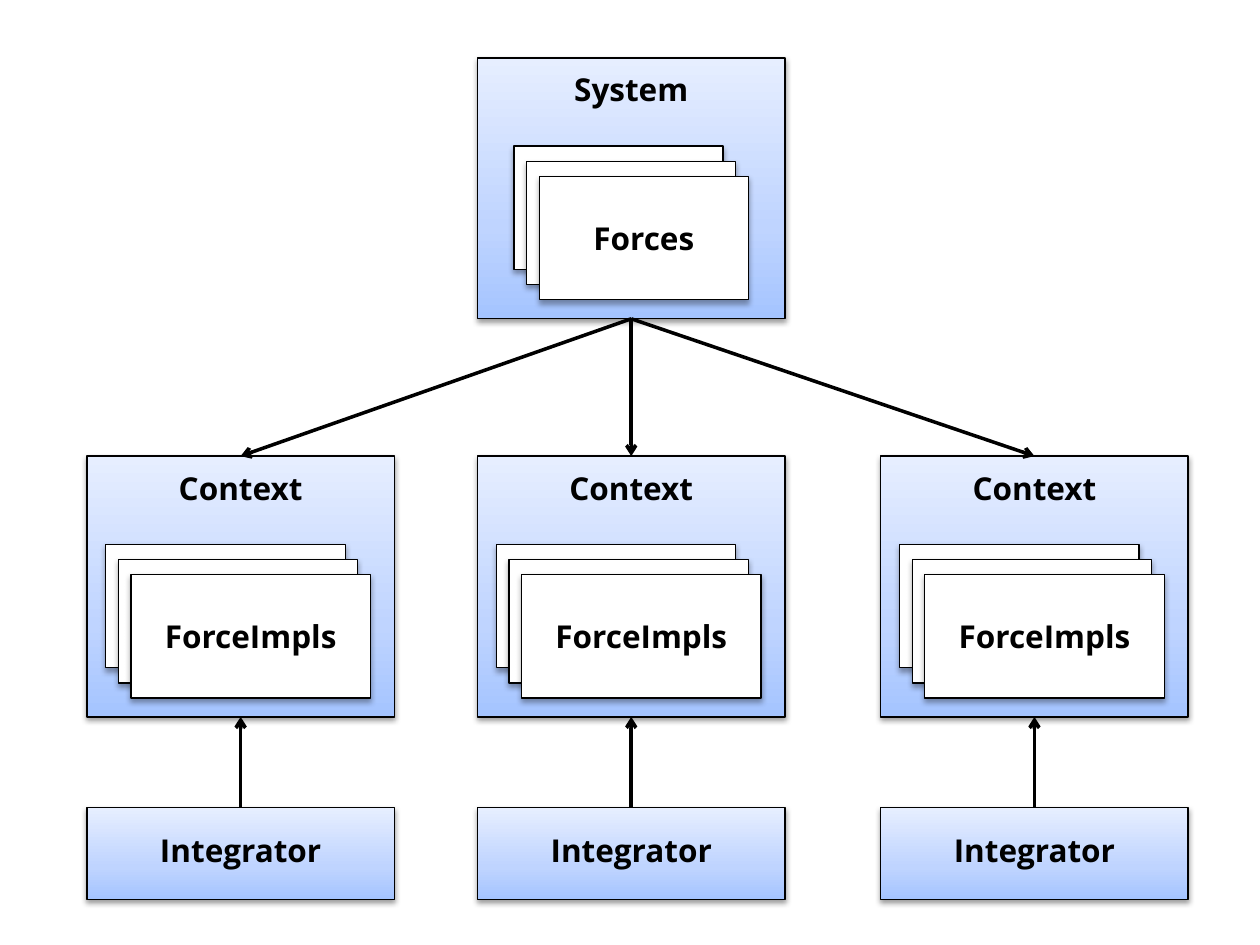
import copy

import lxml.etree
import pptx
import pptx.dml.color
import pptx.enum.shapes
import pptx.enum.text
import pptx.oxml.ns
import pptx.util

Inches, Pt = pptx.util.Inches, pptx.util.Pt
BLACK = pptx.dml.color.RGBColor(0x00, 0x00, 0x00)
WHITE = pptx.dml.color.RGBColor(0xFF, 0xFF, 0xFF)
BLUES = [
    (0, pptx.dml.color.RGBColor(0xA4, 0xC4, 0xFF)),
    (0.35, pptx.dml.color.RGBColor(0xBF, 0xD4, 0xFF)),
    (1, pptx.dml.color.RGBColor(0xE6, 0xEE, 0xFF)),
]
COLUMNS = [0.69, 3.79, 6.99]
BOX_WIDTH, BOX_HEIGHT = 2.44, 2.07
SYSTEM_TOP, CONTEXT_TOP, INTEGRATOR_TOP = 0.46, 3.62, 6.41
INTEGRATOR_HEIGHT = 0.73
CARD_HEIGHT, CARD_RISE = 0.98, 0.70
STEP_X, STEP_Y = 0.10, 0.12
LABEL_HEIGHT = 0.4
TOP_SITE, BOTTOM_SITE = 0, 2

prs = pptx.Presentation()
prs.slide_width, prs.slide_height = Inches(10), Inches(7.5)
slide = prs.slides.add_slide(prs.slide_layouts[6])


def add_box(left, top, width, height, gradient):
    """Add an outlined rectangle with a soft shadow, blue gradient or white."""
    box = slide.shapes.add_shape(
        pptx.enum.shapes.MSO_SHAPE.RECTANGLE,
        Inches(left), Inches(top), Inches(width), Inches(height))
    if gradient:
        box.fill.gradient()
        box.fill.gradient_angle = 90
        stops = box._element.xpath(".//a:gsLst")[0]
        stops.insert(1, copy.deepcopy(stops[0]))
        for stop, (position, color) in zip(box.fill.gradient_stops, BLUES):
            stop.position = position
            stop.color.rgb = color
    else:
        box.fill.solid()
        box.fill.fore_color.rgb = WHITE
    box.line.color.rgb = BLACK
    box.line.width = Pt(0.75)
    box.shadow.inherit = False
    distance, alpha = (20000, 38000) if gradient else (23000, 35000)
    box._element.xpath(".//a:effectLst")[0].append(lxml.etree.fromstring(
        f'<a:outerShdw {pptx.oxml.ns.nsdecls("a")} blurRad="40000" '
        f'dist="{distance}" dir="5400000" rotWithShape="0">'
        f'<a:srgbClr val="000000"><a:alpha val="{alpha}"/></a:srgbClr>'
        '</a:outerShdw>'))
    return box


def write_label(shape, text):
    """Put bold, centred black text into a shape."""
    shape.text_frame.text = text
    paragraph = shape.text_frame.paragraphs[0]
    paragraph.alignment = pptx.enum.text.PP_ALIGN.CENTER
    font = paragraph.runs[0].font
    font.name, font.size, font.bold = "Open Sans", Pt(18), True
    font.color.rgb = BLACK


# Each block: left, top, height, heading, heading offset, card text, card width, card inset
blocks = [(COLUMNS[1], SYSTEM_TOP, BOX_HEIGHT, "System", 0.05, "Forces", 1.66, 0.29)]
for left in COLUMNS:
    blocks.append((left, CONTEXT_TOP, BOX_HEIGHT, "Context", 0.05, "ForceImpls", 1.9, 0.15))
    blocks.append((left, INTEGRATOR_TOP, INTEGRATOR_HEIGHT, "Integrator", 0.14, None, 0, 0))

boxes = []
for left, top, height, heading, offset, card_text, card_width, inset in blocks:
    boxes.append(add_box(left, top, BOX_WIDTH, height, gradient=True))
    label = slide.shapes.add_textbox(
        Inches(left), Inches(top + offset), Inches(BOX_WIDTH), Inches(LABEL_HEIGHT))
    label.text_frame.word_wrap = True
    write_label(label, heading)
    label.text_frame.auto_size = pptx.enum.text.MSO_AUTO_SIZE.SHAPE_TO_FIT_TEXT
    if card_text:
        for level in range(3):
            card = add_box(left + inset + level * STEP_X, top + CARD_RISE + level * STEP_Y,
                           card_width, CARD_HEIGHT, gradient=False)
        card.text_frame.vertical_anchor = pptx.enum.text.MSO_ANCHOR.MIDDLE
        write_label(card, card_text)

system, contexts, integrators = boxes[0], boxes[1::2], boxes[2::2]
links = [(system, BOTTOM_SITE, context, TOP_SITE) for context in contexts]
links += [(integrator, TOP_SITE, context, BOTTOM_SITE)
          for integrator, context in zip(integrators, contexts)]
for source, source_site, target, target_site in links:
    arrow = slide.shapes.add_connector(pptx.enum.shapes.MSO_CONNECTOR.STRAIGHT, 0, 0, 0, 0)
    arrow.begin_connect(source, source_site)
    arrow.end_connect(target, target_site)
    arrow.line.color.rgb = BLACK
    arrow.line.width = Pt(2)
    head = lxml.etree.SubElement(arrow.line._get_or_add_ln(), pptx.oxml.ns.qn("a:tailEnd"))
    head.set("type", "arrow")
    lxml.etree.SubElement(arrow._element.spPr, pptx.oxml.ns.qn("a:effectLst"))

prs.save("out.pptx")
